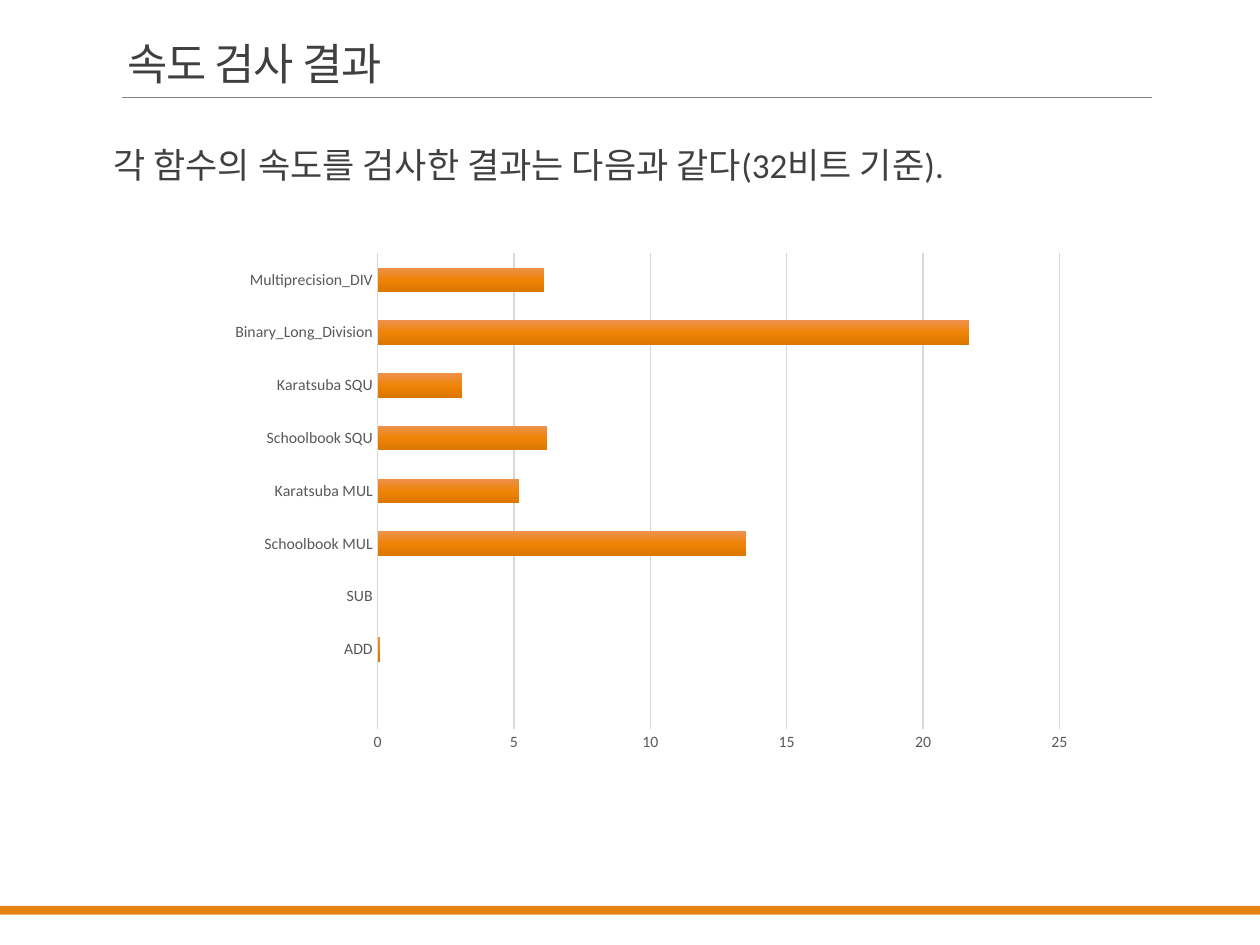
from copy import deepcopy
from dataclasses import dataclass

from pptx import Presentation, util as u
from pptx.chart.data import CategoryChartData
from pptx.dml.color import RGBColor
from pptx.enum import chart as ch, shapes, text
from pptx.oxml import parse_xml
from pptx.oxml.ns import nsdecls


@dataclass(frozen=True)
class Theme:
    """Colours, type sizes and grid of the deck."""
    font: str = "Calibri"
    ink: str = "404040"
    label: str = "595959"
    grid: str = "D9D9D9"
    rule: str = "808080"
    band: str = "E48312"
    ramp: tuple = ("ED914C", "EF8407", "DB7600")
    head: int = 25
    body: int = 20
    tick: int = 9
    cols: int = 100
    rows: int = 75


def rgb(code):
    """Turn a hex code into a colour."""
    return RGBColor.from_string(code)


def style(font, name, size, ink):
    """Set face, size and colour of a font."""
    font.name, font.size = name, u.Pt(size)
    font.color.rgb = rgb(ink)


def write(frame, words, *, name, size, ink, line=1, before=0, after=0,
          inset=0.1, anchor=text.MSO_ANCHOR.TOP, track=0):
    """Put one formatted paragraph into a text frame."""
    frame.word_wrap = True
    frame.auto_size = text.MSO_AUTO_SIZE.NONE
    frame.vertical_anchor = anchor
    frame.margin_left = frame.margin_right = u.Inches(inset)
    frame.margin_top = frame.margin_bottom = u.Inches(0.05)
    para = frame.paragraphs[0]
    para.alignment = text.PP_ALIGN.LEFT
    para.line_spacing = line
    para.space_before, para.space_after = u.Pt(before), u.Pt(after)
    run = para.add_run()
    run.text = words
    style(run.font, name, size, ink)
    if track:
        run.font._element.set("spc", str(int(track * 100)))


class Page:
    """A slide with its style and grid."""

    def __init__(self, deck, theme):
        """Add a title-only slide to the deck."""
        self.theme = theme
        self.wide = deck.slide_width / theme.cols
        self.tall = deck.slide_height / theme.rows
        self.slide = deck.slides.add_slide(deck.slide_layouts[5])

    def box(self, col, row, width, height):
        """Convert grid units to lengths."""
        return (u.Emu(round(col * self.wide)), u.Emu(round(row * self.tall)),
                u.Emu(round(width * self.wide)), u.Emu(round(height * self.tall)))

    def band(self, *area):
        """Draw a plain filled bar."""
        bar = self.slide.shapes.add_shape(shapes.MSO_SHAPE.RECTANGLE, *self.box(*area))
        bar.shadow.inherit = False
        bar.fill.solid()
        bar.fill.fore_color.rgb = rgb(self.theme.band)
        bar.line.fill.background()

    def rule(self, col, row, width):
        """Draw a thin level line."""
        left, top, span, _ = self.box(col, row, width, 0)
        line = self.slide.shapes.add_connector(
            shapes.MSO_CONNECTOR.STRAIGHT, left, top, left + span, top)
        line.line.color.rgb = rgb(self.theme.rule)
        line.line.width = u.Pt(0.5)
        line._element.spPr.append(parse_xml(f"<a:effectLst {nsdecls('a')}/>"))

    def title(self, words, *area):
        """Place and fill the title."""
        t = self.theme
        head = self.slide.shapes.title
        head.left, head.top, head.width, head.height = self.box(*area)
        write(head.text_frame, words, name=t.font, size=t.head, ink=t.ink,
              line=0.85, anchor=text.MSO_ANCHOR.BOTTOM, track=-0.5)

    def body(self, words, *area):
        """Add a block of body text."""
        t = self.theme
        block = self.slide.shapes.add_textbox(*self.box(*area))
        write(block.text_frame, words, name=t.font, size=t.body, ink=t.ink,
              line=0.9, before=12, after=2, inset=0)

    def bars(self, pairs, top, step, *area):
        """Add a level bar chart of one series."""
        t = self.theme
        data = CategoryChartData()
        data.categories = [name for name, _ in pairs]
        data.add_series("Series 1", [value for _, value in pairs])
        chart = self.slide.shapes.add_chart(
            ch.XL_CHART_TYPE.BAR_CLUSTERED, *self.box(*area), data).chart
        chart.has_legend = chart.has_title = False
        style(chart.font, t.font, 10, "000000")
        cat, val = chart.category_axis, chart.value_axis
        for axis in (cat, val):
            axis.major_tick_mark = axis.minor_tick_mark = ch.XL_TICK_MARK.NONE
            style(axis.tick_labels.font, t.font, t.tick, t.label)
        cat.has_major_gridlines = False
        val.minimum_scale, val.maximum_scale, val.major_unit = 0, top, step
        val.has_major_gridlines = True
        for line, width in ((cat.format.line, 1), (val.major_gridlines.format.line, 0.75)):
            line.color.rgb = rgb(t.grid)
            line.width = u.Pt(width)
        val.format.line.fill.background()
        plot = chart.plots[0]
        plot.gap_width, plot.overlap, plot.vary_by_categories = 115, -20, False
        self.shade(plot.series[0])

    def shade(self, series):
        """Fill a series with the theme ramp."""
        fill = series.format.fill
        fill.gradient()
        fill.gradient_angle = 270
        stops = series._element.xpath(".//a:gsLst")[0]
        stops.append(deepcopy(stops[0]))
        for i, (stop, code) in enumerate(zip(fill.gradient_stops, self.theme.ramp)):
            stop.position = i / 2
            stop.color.rgb = rgb(code)


SPEEDS = [("", None), ("ADD", 0.1), ("SUB", 0), ("Schoolbook MUL", 13.5),
          ("Karatsuba MUL", 5.2), ("Schoolbook SQU", 6.2), ("Karatsuba SQU", 3.1),
          ("Binary_Long_Division", 21.7), ("Multiprecision_DIV", 6.1)]


def main():
    """Build and save the deck."""
    deck = Presentation()
    deck.slide_width, deck.slide_height = u.Inches(10), u.Inches(7.5)
    page = Page(deck, Theme())
    page.band(0, 71.9, 100, 0.7)
    page.rule(9.7, 7.7, 81.7)
    page.title("속도 검사 결과", 9.1, 3.2, 76, 4.4)
    page.body("각 함수의 속도를 검사한 결과는 다음과 같다(32비트 기준).", 9, 11.3, 82.5, 57.4)
    page.bars(SPEEDS, 25, 5, 17.3, 19.3, 68.8, 41.2)
    deck.save("out.pptx")


if __name__ == "__main__":
    main()
